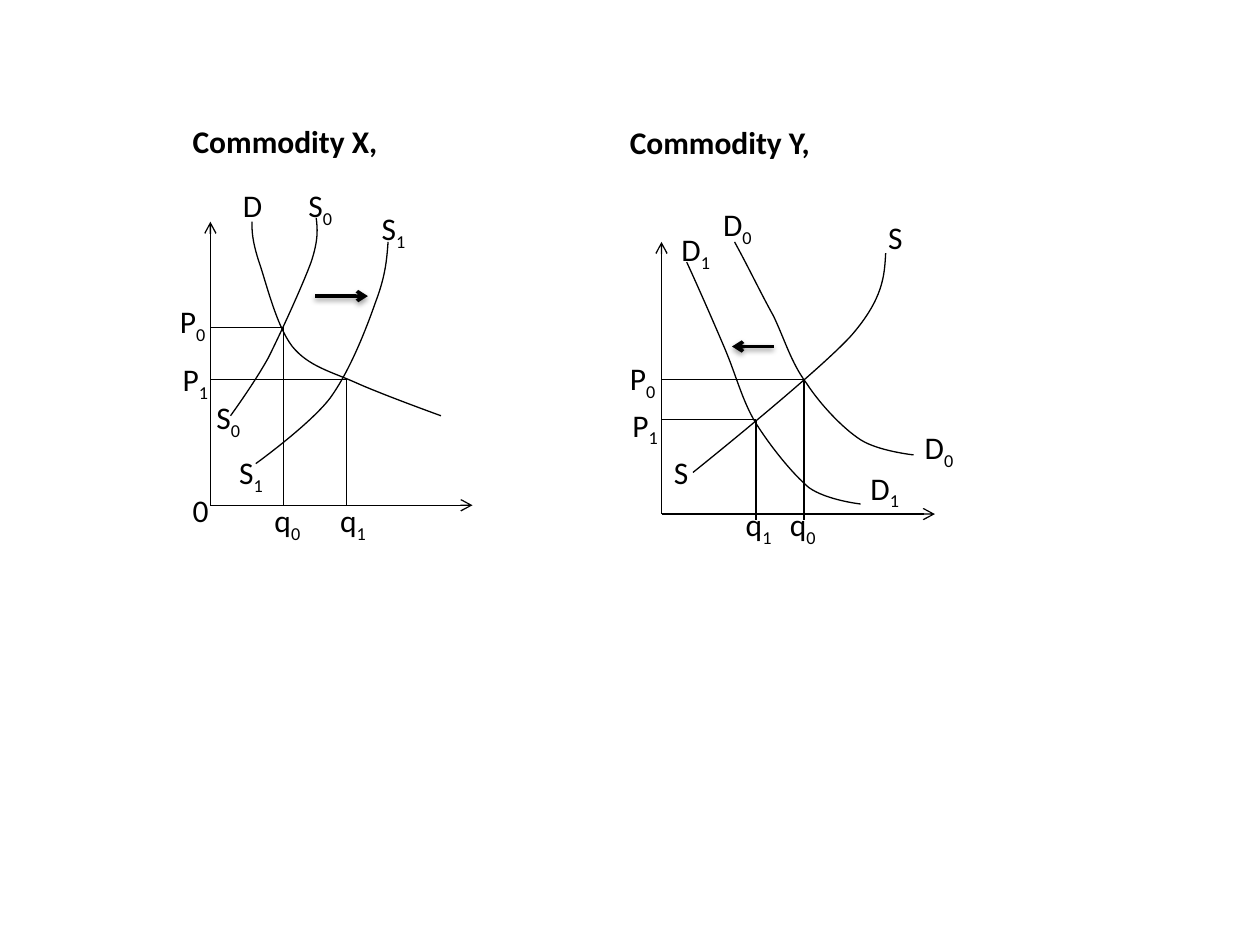
from lxml import etree
from pptx import Presentation
from pptx.dml.color import RGBColor
from pptx.enum.shapes import MSO_CONNECTOR
from pptx.enum.text import MSO_AUTO_SIZE
from pptx.oxml.ns import qn
from pptx.util import Inches, Pt

STRAIGHT = MSO_CONNECTOR.STRAIGHT
GROW = MSO_AUTO_SIZE.SHAPE_TO_FIT_TEXT

THEME = {"font": "Calibri", "ink": "000000", "size": 18, "thin": 0.75, "thick": 2}
LABEL_HEIGHT = 0.4

# Labels are (letter, subscript, left, top, width).
# Curves are a start point followed by groups of three Bezier points.
PANELS = [
    {
        "title": ("Commodity X,", "", 1.43, 0.92, 1.68),
        "origin": (1.67, 4.01), "axis_right": 3.75, "axis_top": 1.76,
        "equilibria": [(2.25, 2.6), (2.75, 3.01)], "guide_foot": 4.01,
        "shift": ((2.5, 2.35), (2.92, 2.35)),
        "curves": {
            "demand": [(2, 1.76), (2, 1.83), (2, 1.9), (2.05, 2.06),
                       (2.11, 2.23), (2.19, 2.58), (2.32, 2.75),
                       (2.45, 2.91), (2.63, 2.95), (2.83, 3.04),
                       (3.03, 3.13), (3.5, 3.3), (3.5, 3.3)],
            "old supply": [(2.51, 1.73), (2.52, 1.81), (2.53, 1.9), (2.47, 2.08),
                           (2.4, 2.27), (2.23, 2.64), (2.13, 2.84),
                           (2.02, 3.04), (1.83, 3.3), (1.83, 3.3)],
            "new supply": [(3.08, 1.92), (3.07, 2.06), (3.06, 2.19), (2.98, 2.4),
                           (2.91, 2.6), (2.78, 2.94), (2.62, 3.16),
                           (2.46, 3.37), (2.03, 3.68), (2.03, 3.68)],
        },
        "labels": [
            ("S", "0", 2.35, 1.43, 0.4), ("S", "1", 2.93, 1.61, 0.4),
            ("S", "1", 1.8, 3.55, 0.4), ("S", "0", 1.62, 3.11, 0.4),
            ("D", "", 1.83, 1.43, 0.36),
            ("q", "1", 2.6, 3.93, 0.42), ("q", "0", 2.08, 3.93, 0.42),
            ("P", "1", 1.35, 2.81, 0.42), ("P", "0", 1.33, 2.35, 0.42),
            ("0", "", 1.43, 3.85, 0.33),
        ],
    },
    {
        "title": ("Commodity Y,", "", 4.9, 0.93, 1.64),
        "origin": (5.25, 4.08), "axis_right": 7.42, "axis_top": 1.92,
        "equilibria": [(6.38, 3.01), (6, 3.33)], "guide_foot": 4.13,
        "shift": ((6.14, 2.75), (5.81, 2.75)),
        "curves": {
            "supply": [(7.03, 2.01), (7.02, 2.19), (7.01, 2.37), (6.76, 2.66),
                       (6.5, 2.95), (5.5, 3.75), (5.5, 3.75)],
            "old demand": [(5.83, 1.92), (5.94, 2.12), (6.04, 2.33), (6.14, 2.51),
                           (6.23, 2.7), (6.28, 2.88), (6.4, 3.04),
                           (6.51, 3.21), (6.69, 3.4), (6.83, 3.49),
                           (6.97, 3.58), (7.25, 3.61), (7.25, 3.61)],
            "new demand": [(5.45, 2.08), (5.56, 2.32), (5.66, 2.55), (5.75, 2.76),
                           (5.84, 2.97), (5.89, 3.18), (6, 3.36),
                           (6.12, 3.55), (6.29, 3.76), (6.42, 3.87),
                           (6.56, 3.97), (6.83, 4), (6.83, 4)],
        },
        "labels": [
            ("D", "1", 5.31, 1.78, 0.44), ("D", "0", 5.64, 1.58, 0.44),
            ("D", "0", 7.24, 3.35, 0.44), ("D", "1", 6.81, 3.67, 0.44),
            ("S", "", 6.95, 1.68, 0.32), ("S", "", 5.25, 3.55, 0.32),
            ("q", "0", 6.17, 3.96, 0.42), ("q", "1", 5.82, 3.96, 0.42),
            ("P", "1", 4.92, 3.17, 0.42), ("P", "0", 4.9, 2.8, 0.42),
        ],
    },
]


def ink_line(shape, weight):
    shape.line.color.rgb = RGBColor.from_string(THEME["ink"])
    shape.line.width = Pt(weight)


def add_line(page, start, end, weight=THEME["thin"], arrow=False, shadow=False):
    connector = page.shapes.add_connector(
        STRAIGHT, *(Inches(value) for value in (*start, *end)))
    ink_line(connector, weight)
    properties = connector._element.spPr
    if arrow:
        etree.SubElement(properties.find(qn("a:ln")), qn("a:tailEnd"), type="arrow")
    effects = etree.SubElement(properties, qn("a:effectLst"))
    if shadow:
        outer = etree.SubElement(
            effects, qn("a:outerShdw"), blurRad=str(Pt(3.1)), dist=str(Pt(1.6)),
            dir="5400000", rotWithShape="0")
        color = etree.SubElement(outer, qn("a:srgbClr"), val=THEME["ink"])
        etree.SubElement(color, qn("a:alpha"), val="38000")


def add_curve(page, points):
    start, *rest = [(Inches(x), Inches(y)) for x, y in points]
    builder = page.shapes.build_freeform(*start)
    builder.add_line_segments(rest, close=False)
    curve = builder.convert_to_shape()
    curve.shadow.inherit = False
    curve.fill.background()
    ink_line(curve, THEME["thin"])
    # Each three straight segments become one cubic Bezier segment
    segments = list(curve._element.iter(qn("a:lnTo")))
    for first in range(0, len(segments), 3):
        bezier = etree.Element(qn("a:cubicBezTo"))
        segments[first].addprevious(bezier)
        for segment in segments[first:first + 3]:
            bezier.append(segment[0])
            segment.getparent().remove(segment)


def add_label(page, text, subscript, left, top, width, bold=False):
    box = page.shapes.add_textbox(
        Inches(left), Inches(top), Inches(width), Inches(LABEL_HEIGHT))
    frame = box.text_frame
    frame.text = text
    frame.word_wrap = False
    frame.auto_size = GROW
    para = frame.paragraphs[0]
    if subscript:
        span = para.add_run()
        span.text = subscript
        span._r.get_or_add_rPr().set("baseline", "-25000")
    for span in para.runs:
        span.font.name = THEME["font"]
        span.font.size = Pt(THEME["size"])
        span.font.bold = bold
        span.font.color.rgb = RGBColor.from_string(THEME["ink"])


def add_panel(page, panel):
    origin_x, origin_y = panel["origin"]
    # Axes
    add_line(page, panel["origin"], (origin_x, panel["axis_top"]), arrow=True)
    add_line(page, panel["origin"], (panel["axis_right"], origin_y), arrow=True)
    # Price and quantity guides
    for x, y in panel["equilibria"]:
        add_line(page, (origin_x, y), (x, y))
        add_line(page, (x, y), (x, panel["guide_foot"]))
    # Supply and demand curves, with the direction of the shift
    for points in panel["curves"].values():
        add_curve(page, points)
    add_line(page, *panel["shift"], weight=THEME["thick"], arrow=True, shadow=True)
    # Labels and title
    for label in panel["labels"]:
        add_label(page, *label)
    add_label(page, *panel["title"], bold=True)


def main():
    deck = Presentation()
    deck.slide_width, deck.slide_height = Inches(10), Inches(7.5)
    page = deck.slides.add_slide(deck.slide_layouts[6])
    for panel in PANELS:
        add_panel(page, panel)
    deck.save("out.pptx")


if __name__ == "__main__":
    main()
